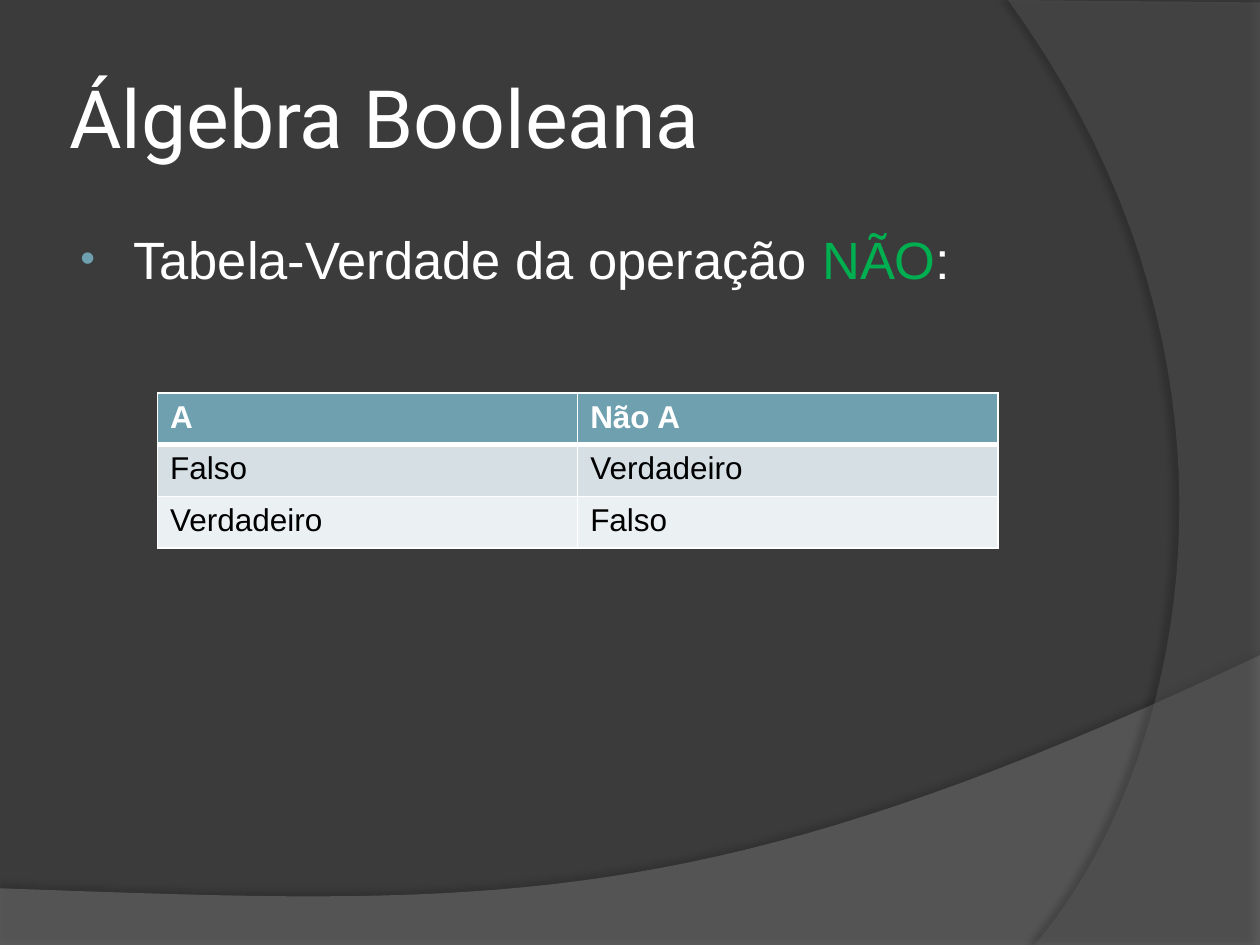
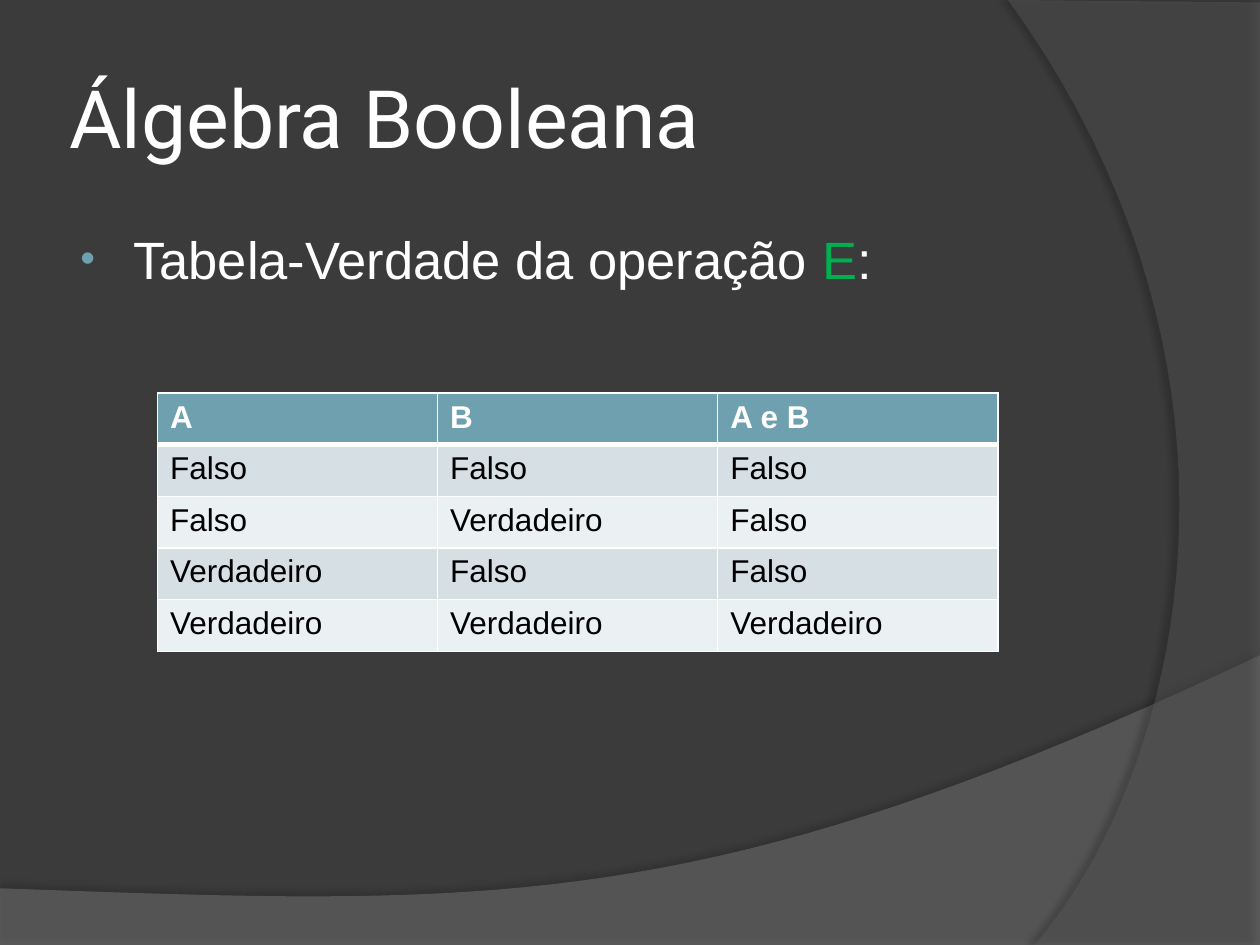
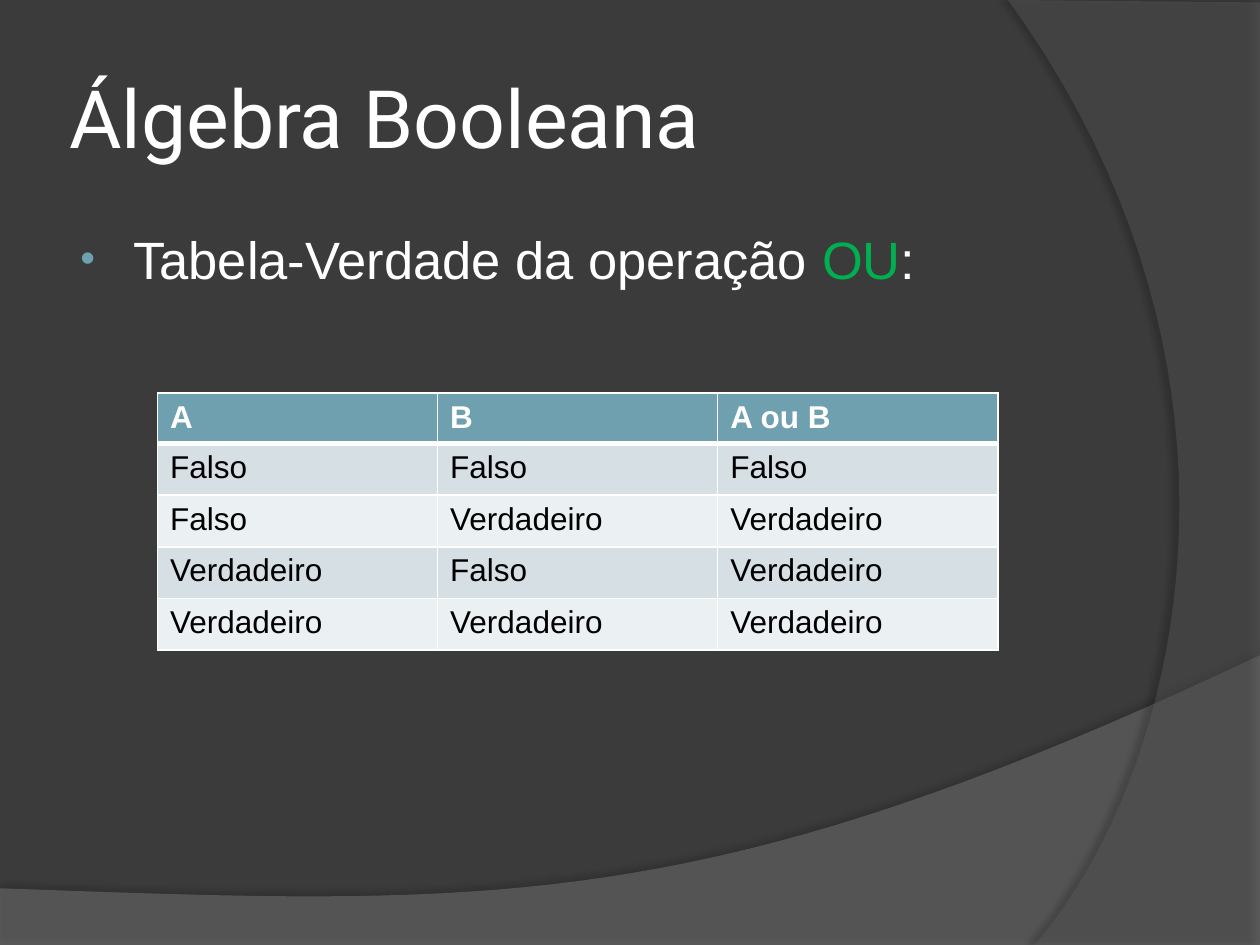
from itertools import product

from lxml import etree
from pptx import Presentation
from pptx import util as u
from pptx.dml.color import RGBColor
from pptx.enum import text
from pptx.oxml import ns

BG, WHITE, BLACK = "3B3B3B", "FFFFFF", "000000"
TEAL, GREEN = "6EA0B0", "00B050"
ROW_FILLS = ("D5DFE4", "EBF0F2")
ROW_H = 0.41
TITLE = {"size": u.Pt(46), "name": "Roboto"}
BODY = {"size": u.Pt(30), "name": "Arial"}
HEAD = {"size": u.Pt(18), "name": "Arial", "bold": True}
CELL = {**HEAD, "bold": False}

BANDS = (
    {"pts": [(0, 7.05), (0, 7.51), (10, 7.51), (10, 5.2)],
     "curve": [(5.59, 7.29), (3.91, 7.19), (0, 7.05)],
     "tail": [], "color": "7F7F7F", "alpha": 45, "shadow": (35, 3.5, 270)},
    {"pts": [(10, 0.02), (10, 7.5), (8.21, 7.5)],
     "curve": [(9.35, 6.19), (10.18, 3), (8, 0)],
     "tail": [(10, 0.02)], "color": "5E5E5E", "alpha": 40, "shadow": (45, 4, 180)},
)

OPERATIONS = (
    ("NÃO", ["A", "Não A"], lambda a: not a, ROW_H),
    ("E", ["A", "B", "A e B"], lambda a, b: a and b, ROW_H),
    ("OU", ["A", "B", "A ou B"], lambda a, b: a or b, 0.38),
)


def rgb(color):
    return RGBColor.from_string(color)


def sub(parent, tag, **attrs):
    el = etree.SubElement(parent, ns.qn(tag))
    for key, value in attrs.items():
        el.set(key, str(value))
    return el


def set_fill(obj, color):
    obj.fill.solid()
    obj.fill.fore_color.rgb = rgb(color)


def add_run(p, content, style, color):
    r = p.add_run()
    r.text = content
    for name, value in style.items():
        setattr(r.font, name, value)
    r.font.color.rgb = rgb(color)


def bezier(start, controls, steps=40):
    pts = [start, *controls]
    for i in range(1, steps + 1):
        t = i / steps
        weights = ((1 - t) ** 3, 3 * t * (1 - t) ** 2, 3 * t ** 2 * (1 - t), t ** 3)
        yield tuple(sum(w * pt[axis] for w, pt in zip(weights, pts)) for axis in (0, 1))


def add_band(s, band):
    pts = [*band["pts"], *bezier(band["pts"][-1], band["curve"]), *band["tail"]]
    pts = [(u.Inches(x), u.Inches(y)) for x, y in pts]
    fb = s.shapes.build_freeform(*pts[0])
    fb.add_line_segments(pts[1:], close=True)
    sp = fb.convert_to_shape()
    set_fill(sp, band["color"])
    sp.line.fill.background()
    sp.shadow.inherit = False
    spPr = sp._element.spPr
    fill = spPr.find(ns.qn("a:solidFill"))
    sub(fill[0], "a:alpha", val=band["alpha"] * 1000)
    alpha, dist, angle = band["shadow"]
    shadow = sub(spPr.find(ns.qn("a:effectLst")), "a:outerShdw", blurRad=u.Pt(4),
                 dist=u.Pt(dist), dir=angle * 60000, algn="ctr", rotWithShape=0)
    sub(sub(shadow, "a:srgbClr", val=BLACK), "a:alpha", val=alpha * 1000)


def add_text(s, top, height, anchor, margin):
    tf = s.shapes.add_textbox(*map(u.Inches, (0.5, top, 8.17, height))).text_frame
    tf.word_wrap = True
    tf.vertical_anchor = anchor
    tf.margin_left = tf.margin_right = u.Inches(margin)
    return tf.paragraphs[0]


def add_title(s, title):
    p = add_text(s, 0.3, 1.25, text.MSO_ANCHOR.MIDDLE, 0.05)
    add_run(p, title, TITLE, WHITE)


def add_bullet(s, operation):
    p = add_text(s, 1.75, 4.95, text.MSO_ANCHOR.TOP, 0.1)
    p.space_before = u.Pt(6)
    pPr = p._p.get_or_add_pPr()
    pPr.set("marL", str(u.Inches(0.46)))
    pPr.set("indent", str(u.Inches(-0.42)))
    sub(sub(pPr, "a:buClr"), "a:srgbClr", val=TEAL)
    sub(pPr, "a:buSzPct", val=80000)
    sub(pPr, "a:buFont", typeface="Arial")
    sub(pPr, "a:buChar", char="•")
    for content, color in (("Tabela-Verdade da operação ", WHITE),
                           (operation, GREEN), (":", WHITE)):
        add_run(p, content, BODY, color)


def set_borders(cell, top, bottom):
    tcPr = cell._tc.get_or_add_tcPr()
    for side, width in zip("LRTB", (1, 1, top, bottom)):
        ln = sub(tcPr, f"a:ln{side}", w=u.Pt(width))
        sub(sub(ln, "a:solidFill"), "a:srgbClr", val=WHITE)


def truth_rows(inputs, rule):
    for values in product((False, True), repeat=inputs):
        yield ["Verdadeiro" if v else "Falso" for v in (*values, rule(*values))]


def add_truth_table(s, header, rule, head_h):
    rows = [header, *truth_rows(len(header) - 1, rule)]
    height = head_h + ROW_H * (len(rows) - 1)
    tbl = s.shapes.add_table(len(rows), len(header),
                             *map(u.Inches, (1.25, 3.12, 6.67, height))).table
    for i, row in enumerate(rows):
        tbl.rows[i].height = u.Inches(ROW_H if i else head_h)
        for j, value in enumerate(row):
            cell = tbl.cell(i, j)
            set_borders(cell, 3 if i == 1 else 1, 1 if i else 3)
            set_fill(cell, ROW_FILLS[(i - 1) % 2] if i else TEAL)
            add_run(cell.text_frame.paragraphs[0], value,
                    CELL if i else HEAD, BLACK if i else WHITE)


def main():
    prs = Presentation()
    prs.slide_width, prs.slide_height = u.Inches(10), u.Inches(7.5)
    set_fill(prs.slide_master.background, BG)
    for operation, header, rule, head_h in OPERATIONS:
        s = prs.slides.add_slide(prs.slide_layouts[6])
        for band in BANDS:
            add_band(s, band)
        add_title(s, "Álgebra Booleana")
        add_bullet(s, operation)
        add_truth_table(s, header, rule, head_h)
    prs.save("out.pptx")


if __name__ == "__main__":
    main()
